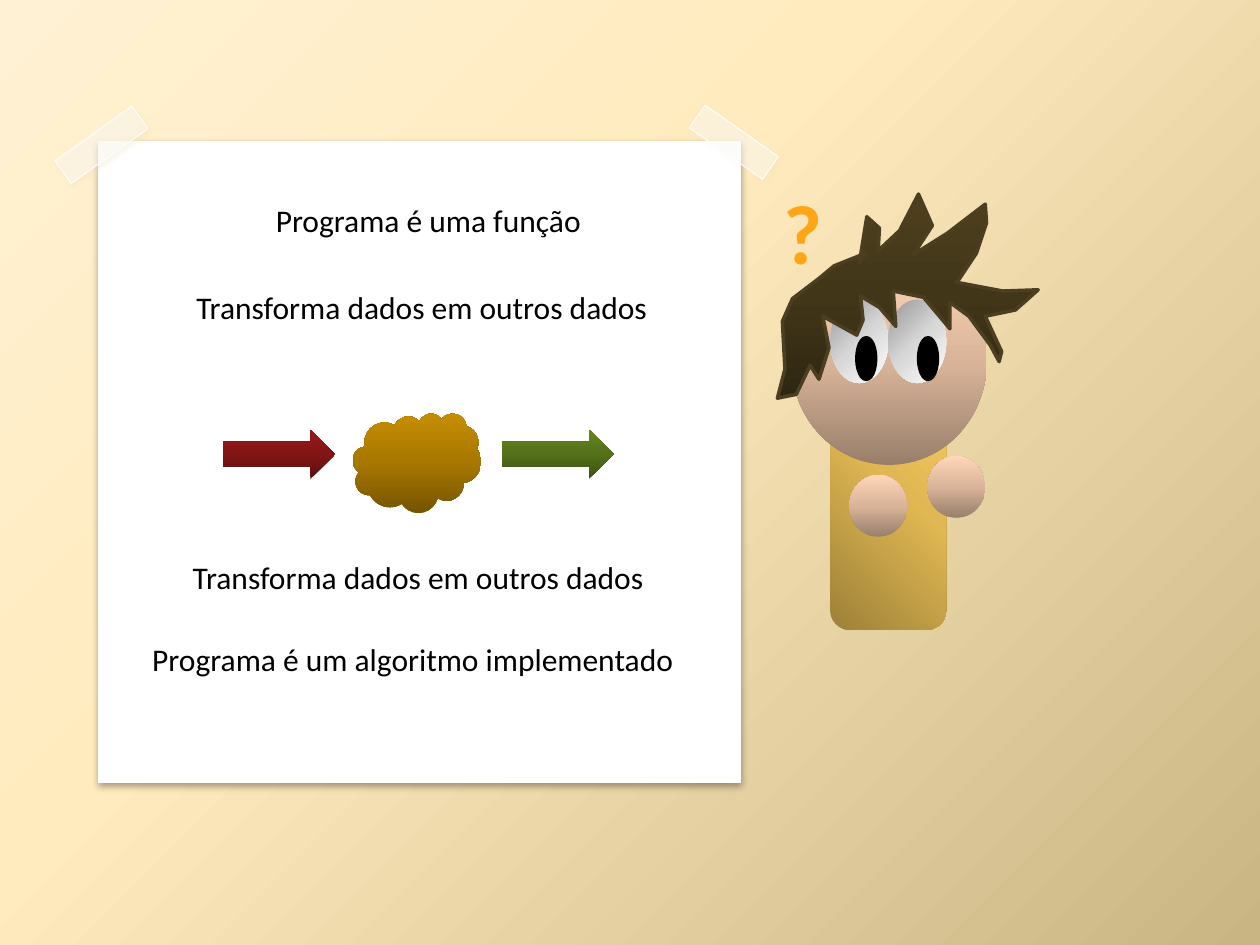
from pptx import Presentation
from pptx.dml.color import RGBColor
from pptx.enum.shapes import MSO_SHAPE as Kind
from pptx.oxml.ns import qn
from pptx.oxml.xmlchemy import OxmlElement as Node
from pptx.util import Pt

SKIN = ["997F6B", "D9B499", "FFD6B8"]
EYE = ["979797", "D7D7D7", "FFFFFF"]

# Outline of the hair, in hundredths of an inch.
HAIR = [
    (761, 222), (775, 201), (783, 177), (782, 162), (752, 185), (725, 202),
    (740, 179), (729, 154), (714, 183), (697, 199), (698, 181), (688, 172),
    (682, 209), (687, 201), (662, 211), (650, 221), (629, 237), (621, 255),
    (623, 293), (617, 316), (632, 313), (643, 290), (650, 301), (658, 276),
    (653, 251), (680, 266), (685, 254), (683, 235), (698, 244), (711, 259),
    (709, 231), (733, 236), (754, 261), (754, 240), (769, 251), (786, 274),
    (793, 287), (795, 279), (782, 251), (806, 246), (824, 230), (796, 231),
    (759, 224),
]


def hue(code):
    return RGBColor.from_string(code)


def add(root, tag, **attrs):
    """Append a child element with the given attributes."""
    node = Node(tag)
    for name, value in attrs.items():
        node.set(name, str(value))
    root.append(node)
    return node


def blend(fill, root, codes, mid=50, angle=None, focus=None):
    """Gradient along an angle, or circles around a focus rectangle."""
    fill.gradient()
    grad = root.find(".//" + qn("a:gradFill"))
    for child in list(grad):
        grad.remove(child)
    grad.set("rotWithShape", "1")
    stops = add(grad, "a:gsLst")
    for code, spot in zip(codes, (0, mid, 100)):
        stop = add(stops, "a:gs", pos=spot * 1000)
        add(stop, "a:srgbClr", val=code)
    if focus:
        ring = add(grad, "a:path", path="circle")
        sides = {k: v * 1000 for k, v in zip("ltrb", focus)}
        add(ring, "a:fillToRect", **sides)
    else:
        add(grad, "a:lin", ang=angle * 60000, scaled=0)


def style(shape, fill, edge=None, **grad):
    """Fill with one colour or a list of stops; edge is colour and width."""
    if isinstance(fill, list):
        blend(shape.fill, shape._element.spPr, fill, **grad)
    else:
        shape.fill.solid()
        shape.fill.fore_color.rgb = hue(fill)
    if edge:
        shape.line.color.rgb = hue(edge[0])
        shape.line.width = Pt(edge[1])
    else:
        shape.line.fill.background()
    shape.shadow.inherit = False
    return shape


def form(slide, kind, box, fill, edge=None, **grad):
    shape = slide.shapes.add_shape(kind, *map(Pt, box))
    return style(shape, fill, edge, **grad)


def shade(shape, code, alpha, blur, dist, angle):
    root = shape._element.spPr.find(qn("a:effectLst"))
    cast = add(root, "a:outerShdw", blurRad=Pt(blur), dist=Pt(dist),
               dir=angle * 60000, algn="tl", rotWithShape=0)
    add(add(cast, "a:srgbClr", val=code), "a:alpha", val=alpha * 1000)


def tape(slide, box, turn, code, alpha):
    strip = form(slide, Kind.FLOWCHART_PROCESS, box, "FBFBFB", ("FFFFFF", 0.5))
    strip.rotation = turn
    tone = strip._element.spPr.find(qn("a:solidFill"))[0]
    add(tone, "a:alpha", val=45000)
    shade(strip, code, alpha, 2, 2, 55)


def label(slide, box, text, code="000000", wrap=False, **look):
    frame = slide.shapes.add_textbox(*map(Pt, box)).text_frame
    frame.word_wrap = wrap
    run = frame.paragraphs[0].add_run()
    run.text = text
    for name, value in {"name": "Calibri", "size": Pt(18), **look}.items():
        setattr(run.font, name, value)
    run.font.color.rgb = hue(code)


def note(slide):
    paper = form(slide, Kind.RECTANGLE, (59.8, 84.2, 360, 360),
                 "FFFFFF", ("FFFFFF", 7))
    add(paper._element.spPr.find(qn("a:ln")), "a:miter", lim=800000)
    shade(paper, "000000", 35, 4.4, 1.5, 90)
    tape(slide, (31, 74.9, 54, 15.8), 324.5, "EBDAB2", 40)
    tape(slide, (393.8, 73.4, 51.1, 15.8), 35.1, "E7DEC9", 20)
    change = "Transforma dados em outros dados"
    for left, top, width, text in [
        (150.5, 111.6, 190.8, "Programa é uma função"),
        (105.1, 161.3, 275, change),
        (103, 315.4, 275, change),
        (79.9, 362.2, 315.4, "Programa é um algoritmo implementado"),
    ]:
        label(slide, (left, top, width, 28.8), text)


def flow(slide):
    for left, codes in [(127.4, ["5C0F10", "821516", "9B191A"]),
                        (286.6, ["3C5013", "55711B", "658620"])]:
        form(slide, Kind.RIGHT_ARROW, (left, 245.5, 64.1, 28.1), codes,
             angle=270)
    form(slide, Kind.CLOUD, (201.6, 236.2, 73.4, 56.9),
         ["755400", "A77700", "C68D00"], angle=270)


def figure(slide):
    label(slide, (440.6, 99.4, 29.5, 65.5), "?", "FFA618", wrap=True,
          size=Pt(48), bold=True)
    form(slide, Kind.ROUNDED_RECTANGLE, (474.5, 182.9, 66.2, 177.1),
         ["9D8139", "E0B752", "FFD56B"], angle=315)
    form(slide, Kind.OVAL, (452.2, 147.6, 111.6, 118.1), SKIN, angle=270)
    for eye, pupil in [(474.5, 489.6), (507.6, 524.9)]:
        form(slide, Kind.OVAL, (eye, 171.4, 33.1, 47.5), EYE,
             focus=(0, 0, 100, 100))
        form(slide, Kind.OVAL, (pupil, 193, 10.8, 23.8), "000000",
             ("000000", 2))
    pen = slide.shapes.build_freeform(*HAIR[0], scale=Pt(0.72))
    pen.add_line_segments(HAIR[1:], close=True)
    style(pen.convert_to_shape(), ["2E2612", "423619", "4E401E"],
          ("4B3E21", 2), angle=270)
    for left, top in [(485.3, 271.4), (529.9, 260.6)]:
        form(slide, Kind.OVAL, (left, top, 33.1, 35.3), SKIN, angle=270)


def main():
    deck = Presentation()
    deck.slide_width, deck.slide_height = Pt(720), Pt(540)
    slide = deck.slides.add_slide(deck.slide_layouts[6])
    blend(slide.background.fill, slide._element,
          ["FFF1D3", "FFEBBE", "C9B484"], mid=40,
          focus=(-24, -20, 124, 120))
    note(slide)
    flow(slide)
    figure(slide)
    deck.save("out.pptx")


if __name__ == "__main__":
    main()
